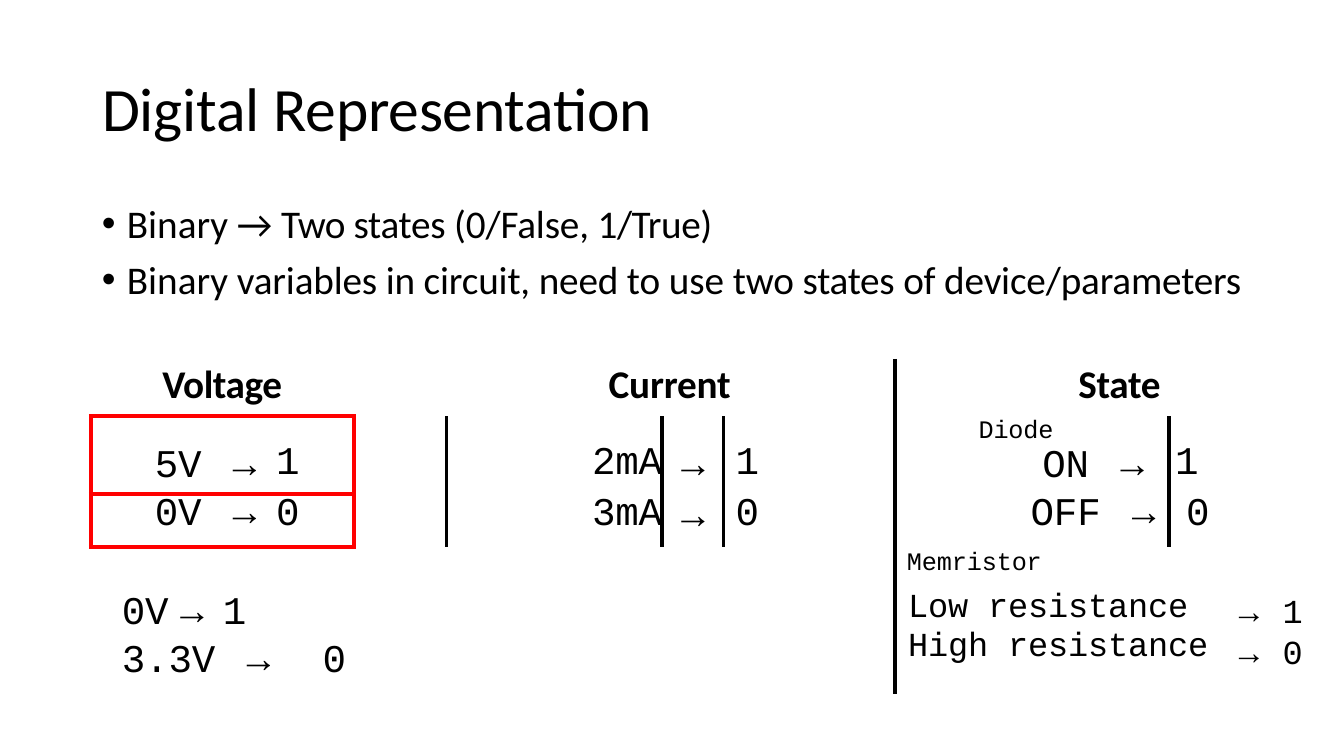
from collections import defaultdict
from itertools import groupby

from lxml.etree import SubElement
from pptx import Presentation
from pptx.dml.color import RGBColor
from pptx.enum.text import MSO_ANCHOR as Anchor, MSO_AUTO_SIZE as AutoSize, PP_ALIGN as Align
from pptx.oxml.ns import qn
from pptx.util import Pt

COLORS = {"text": "000000", "rule": "000000", "box": "FF0000"}
SANS, MONO, ARROW = "Calibri", "Courier New", "Arial"
NO_STYLE = "{2D5ABB26-0587-4C30-8999-92F81FD0307C}"
SIDES = ("L", "R", "T", "B")


def sans_runs(*pieces):
    return [(text, SANS, spacing) for text, spacing in pieces]


def mono_runs(text):
    """Split text so that arrows and tabs get their own font."""
    runs = []
    for is_arrow, letters in groupby(text, lambda letter: letter in "→\t"):
        piece = "".join(letters)
        spacing = -0.1 if len(piece) > 1 and not is_arrow else 0
        runs.append((piece, ARROW if is_arrow else MONO, spacing))
    return runs


class SlideBuilder:
    def __init__(self, presentation):
        self.slide = presentation.slides.add_slide(presentation.slide_layouts[5])

    def fill_paragraph(self, paragraph, runs, size=28, bold=False, align=Align.LEFT, indent=0,
                       hanging=0, tabs=(), line=None, before=0):
        """Fill a paragraph; a hanging indent also gives it a bullet."""
        properties = paragraph._p.get_or_add_pPr()
        properties.set("marL", str(Pt(indent)))
        properties.set("indent", str(-Pt(hanging)))
        if hanging:
            SubElement(properties, qn("a:buFont"), typeface="Arial")
            SubElement(properties, qn("a:buChar"), char="•")
        if tabs:
            tab_list = SubElement(properties, qn("a:tabLst"))
            for tab in tabs:
                SubElement(tab_list, qn("a:tab"), pos=str(Pt(tab)), algn="l")
        paragraph.alignment = align
        paragraph.space_before = Pt(before)
        if line:
            paragraph.line_spacing = line
        for text, font, spacing in runs:
            run = paragraph.add_run()
            run.text = text
            run.font.name, run.font.size, run.font.bold = font, Pt(size), bold
            run.font.color.rgb = RGBColor.from_string(COLORS["text"])
            run._r.get_or_add_rPr().set("spc", str(round(spacing * 100)))

    def paragraphs(self, frame, lines, before=0, **style):
        for index, runs in enumerate(lines):
            paragraph = frame.add_paragraph() if index else frame.paragraphs[0]
            self.fill_paragraph(paragraph, runs, before=before if index else 0, **style)

    def frame(self, frame, margins, wrap=True):
        frame.margin_left, frame.margin_top, frame.margin_right, frame.margin_bottom = map(Pt, margins)
        frame.word_wrap = wrap
        frame.auto_size = AutoSize.NONE

    def title(self, box, runs):
        shape = self.slide.shapes.title
        shape.left, shape.top, shape.width, shape.height = map(Pt, box)
        self.frame(shape.text_frame, (0, 1, 0, 0))
        shape.text_frame.vertical_anchor = Anchor.MIDDLE
        self.paragraphs(shape.text_frame, [runs], size=44, indent=1)

    def text(self, box, lines, margins=(0, 0, 0, 0), wrap=True, **style):
        shape = self.slide.shapes.add_textbox(*map(Pt, box))
        self.frame(shape.text_frame, margins, wrap)
        self.paragraphs(shape.text_frame, lines, **style)

    def table(self, left, top, widths, heights):
        shape = self.slide.shapes.add_table(
            len(heights), len(widths), *map(Pt, (left, top, sum(widths), sum(heights))))
        table = shape.table
        table._tbl.tblPr.find(qn("a:tableStyleId")).text = NO_STYLE
        table.first_row = table.horz_banding = False
        for column, width in zip(table.columns, widths):
            column.width = Pt(width)
        for row, height in zip(table.rows, heights):
            row.height = Pt(height)
        for cell in table.iter_cells():
            cell.fill.background()
            cell.margin_left = cell.margin_right = cell.margin_top = cell.margin_bottom = 0
        return table

    def cell(self, cell, lines, top=0, **style):
        cell.margin_top = Pt(top)
        self.paragraphs(cell.text_frame, lines, **style)

    def borders(self, table, edges):
        """Draw edges, given as {(row, column): {side: color name}}."""
        for (row, column), sides in edges.items():
            properties = table.cell(row, column)._tc.get_or_add_tcPr()
            for index, side in enumerate(sorted(sides, key=SIDES.index)):
                line = SubElement(properties, qn(f"a:ln{side}"), w=str(Pt(3)))
                fill = SubElement(line, qn("a:solidFill"))
                SubElement(fill, qn("a:srgbClr"), val=COLORS[sides[side]])
                properties.insert(index, line)


def state_table(builder):
    table = builder.table(64.8, 256.3, (123.8, 64.1, 66.2, 154.1, 43.9, 122.4, 195.8, 31.7),
                          (41, 55.4, 38.2, 105.1))
    for row in (0, 3):
        for first, last in ((0, 1), (2, 5), (6, 7)):
            table.cell(row, first).merge(table.cell(row, last))

    headings = ((0, "Voltage", -0.3, Align.LEFT, 51.1), (2, "Current", -0.1, Align.CENTER, 64.8),
                (6, "State", -0.2, Align.LEFT, 131))
    for column, name, spacing, align, indent in headings:
        builder.cell(table.cell(0, column), [sans_runs((name, spacing))], top=1.6,
                     bold=True, align=align, indent=indent)

    columns = (
        (0, ("5V →", "0V →"), Align.RIGHT, (0, 0)),
        (1, "10", Align.LEFT, (8.6, 8.6)),
        (3, ("2mA", "3mA"), Align.RIGHT, (0, 0)),
        (4, "→→", Align.CENTER, (0, 0)),
        (5, "10", Align.LEFT, (8.6, 8.6)),
        (6, ("ON →", "OFF →"), Align.CENTER, (92.9, 92.9)),
        (7, "10", Align.LEFT, (4.3, 12.2)),
    )
    for column, texts, align, indents in columns:
        for row, (text, indent) in enumerate(zip(texts, indents), 1):
            builder.cell(table.cell(row, column), [mono_runs(text)], top=18.5 if row == 1 else 0,
                         align=align, indent=indent, line=Pt(31) if row == 2 else None)

    low_voltage = table.cell(3, 0)
    builder.cell(low_voltage, [mono_runs("0V\t→\t1")], top=30, indent=22.3, tabs=(105.8, 150.5))
    builder.fill_paragraph(low_voltage.text_frame.add_paragraph(), mono_runs("3.3V →\t0"),
                           indent=22.3, tabs=(150.5,), before=0.5)
    builder.cell(table.cell(3, 6), [mono_runs("Low resistance"), mono_runs("High resistance")],
                 top=30, size=24, indent=9.4, line=1.01)

    edges = defaultdict(dict)
    verticals = ((3, (1, 2), "rule"), (4, (1, 2), "rule"), (6, range(4), "rule"),
                 (7, (1, 2), "rule"), (0, (1, 2), "box"), (2, (1, 2), "box"))
    for column, rows, color in verticals:
        for row in rows:
            edges[row, column]["L"] = color
            if column:
                edges[row, column - 1]["R"] = color
    for row in (1, 2, 3):
        for column in (0, 1):
            edges[row, column]["T"] = edges[row - 1, column]["B"] = "box"
    builder.borders(table, edges)


def main():
    presentation = Presentation()
    presentation.slide_width, presentation.slide_height = Pt(960), Pt(540)
    builder = SlideBuilder(presentation)
    for name, box in (("Memristor", (640.8, 385.9, 112.3, 28.8)), ("Diode", (691.9, 291.6, 69.1, 28.8))):
        builder.text(box, [mono_runs(name)], margins=(7.2, 3.6, 7.2, 3.6), wrap=False, size=18)
    builder.title((72, 48.2, 603.4, 54.7), sans_runs(("Digital ", -0.1), ("Representation", -0.2)))
    builder.text((72, 135.4, 823.7, 81.4), [
        sans_runs(("Binary → ", 0), ("Two ", -0.5), ("states ", -0.2), ("(0/False, ", -0.1),
                  ("1/True)", -0.3)),
        sans_runs(("Binary ", 0), ("variables in circuit, need to ", -0.1), ("use ", 0),
                  ("two ", -0.1), ("states ", -0.2), ("of device/parameters", -0.1)),
    ], margins=(0, 7.2, 0, 0), indent=18.7, hanging=18, tabs=(18.7,), before=6.2)
    state_table(builder)
    builder.text((879.1, 420.5, 54, 59.8), [mono_runs("→\t1"), mono_runs("→\t0")],
                 margins=(0, 1, 0, 0), size=24, indent=1, tabs=(38.9,), before=0.2)
    presentation.save("out.pptx")


if __name__ == "__main__":
    main()
